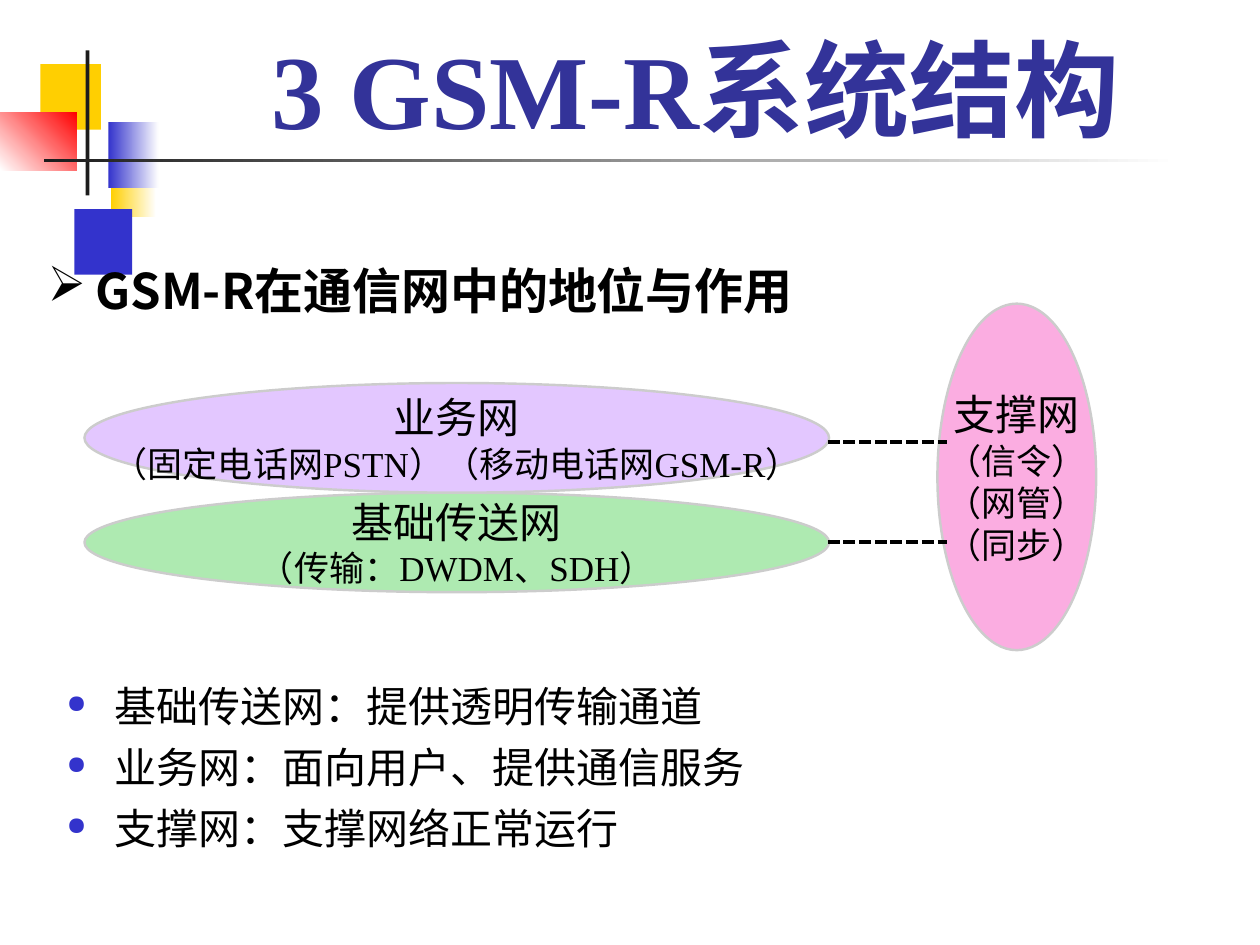
from lxml.etree import SubElement
from pptx import Presentation
from pptx.dml.color import RGBColor
from pptx.enum.dml import MSO_LINE
from pptx.enum.shapes import MSO_CONNECTOR, MSO_SHAPE
from pptx.enum.text import MSO_ANCHOR, PP_ALIGN
from pptx.oxml.ns import qn
from pptx.util import Inches, Pt

SERIF, SANS, CJK = "Times New Roman", "Lato", "Noto Sans CJK SC"
BLACK, WHITE, YELLOW, BLUE, RED, DARK = "000000", "FFFFFF", "FFCF01", "3333CC", "FF0000", "1C1C1C"

DECORATIONS = [
    ((0.88, 1.2, 0.36, 0.52), (YELLOW, WHITE, 0)),
    ((0.59, 1.66, 0.46, 0.52), BLUE),
    ((0.32, 0.51, 0.48, 0.52), YELLOW),
    ((0.86, 0.97, 0.4, 0.52), (BLUE, WHITE, 0)),
    ((0, 0.89, 0.61, 0.46), (WHITE, RED, 45)),
    ((0.68, 0.4, 0.03, 1.15), DARK),
    ((0.35, 1.26, 9, 0.03), (DARK, WHITE, 0)),
]
NETWORKS = [
    ((0.67, 3.91, 5.91, 0.79), "AEEAB1",
     [[("基础传送网", 24, SERIF)], [("（传输：DWDM、SDH", 20, SERIF), ("）", 20, SANS)]]),
    ((0.67, 3.04, 5.91, 0.87), "E3C7FF",
     [[("业务网", 24, SERIF)], [("（固定电话网PSTN）（移动电话网GSM-R）", 20, SERIF)]]),
    ((7.44, 2.41, 1.26, 2.75), "FBADE1",
     [[("支撑网", 24, SANS)]] + [[(text, 20, SANS)] for text in ("（信令）", "（网管）", "（同步）")]),
]
LINK_START, LINK_END, LINK_HEIGHTS = 6.57, 7.52, (3.51, 4.3)
ROLES = ["基础传送网：提供透明传输通道", "业务网：面向用户、提供通信服务", "支撑网：支撑网络正常运行"]
HEADING = "GSM-R在通信网中的地位与作用"
TITLE = "3 GSM-R系统结构"


def color(value):
    """Turn a hex string into a colour."""
    return RGBColor.from_string(value)


def paint(fill, value):
    """Apply a solid colour or a (start, end, angle) gradient."""
    if isinstance(value, str):
        fill.solid()
        fill.fore_color.rgb = color(value)
        return
    start, end, angle = value
    fill.gradient()
    fill.gradient_angle = angle
    for stop, stop_color in zip(fill.gradient_stops, (start, end)):
        stop.color.rgb = color(stop_color)


def add_preset(slide, kind, box, fill):
    """Add a flat preset shape without an outline."""
    shape = slide.shapes.add_shape(kind, *map(Inches, box))
    shape.shadow.inherit = False
    paint(shape.fill, fill)
    shape.line.fill.background()
    return shape


def add_bullet(paragraph, character, bullet_color, percent):
    """Give a paragraph a hanging bullet."""
    properties = paragraph._p.get_or_add_pPr()
    properties.set("marL", str(Inches(0.38)))
    properties.set("indent", str(Inches(-0.38)))
    holder = SubElement(properties, qn("a:buClr"))
    SubElement(holder, qn("a:srgbClr"), val=bullet_color)
    SubElement(holder.getparent(), qn("a:buSzPct"), val=str(percent * 1000))
    SubElement(properties, qn("a:buChar"), char=character)


def write(shape, paragraphs, anchor=MSO_ANCHOR.TOP, wrap=True, align=PP_ALIGN.CENTER,
          font_color=BLACK, bold=False, bullet=None, space=0):
    """Fill a shape with paragraphs of (text, size, font) runs."""
    frame = shape.text_frame
    frame.word_wrap = wrap
    frame.vertical_anchor = anchor
    for index, runs in enumerate(paragraphs):
        paragraph = frame.add_paragraph() if index else frame.paragraphs[0]
        if bullet:
            add_bullet(paragraph, *bullet)
        paragraph.alignment = align
        if index and space:
            paragraph.space_before = Pt(space)
        for text, size, font_name in runs:
            run = paragraph.add_run()
            run.text = text
            run.font.size = Pt(size)
            run.font.name = font_name
            run.font.bold = bold
            run.font.color.rgb = color(font_color)


def add_text(slide, box, paragraphs, **style):
    """Add a text box with styled paragraphs."""
    write(slide.shapes.add_textbox(*map(Inches, box)), paragraphs, **style)


def add_link(slide, height):
    """Add a dotted horizontal link."""
    ends = (LINK_START, height, LINK_END, height)
    link = slide.shapes.add_connector(MSO_CONNECTOR.STRAIGHT, *map(Inches, ends))
    link.line.color.rgb = color(BLACK)
    link.line.width = Pt(2.25)
    link.line.dash_style = MSO_LINE.SQUARE_DOT
    SubElement(link._element.spPr, qn("a:effectLst"))


def main():
    """Build and save the slide."""
    presentation = Presentation()
    presentation.slide_width, presentation.slide_height = Inches(10), Inches(7.5)
    slide = presentation.slides.add_slide(presentation.slide_layouts[6])
    for box, fill in DECORATIONS:
        add_preset(slide, MSO_SHAPE.RECTANGLE, box, fill)
    add_text(slide, (0.43, 5.35, 7.09, 1.86), [[(role, 24, SERIF)] for role in ROLES],
             align=PP_ALIGN.LEFT, bullet=("●", BLUE, 60), space=6)
    for box, fill, paragraphs in NETWORKS:
        ellipse = add_preset(slide, MSO_SHAPE.OVAL, box, fill)
        ellipse.line.color.rgb = color("CCCCCC")
        ellipse.line.width = Pt(1.39)
        write(ellipse, paragraphs, anchor=MSO_ANCHOR.MIDDLE, wrap=False)
    for height in LINK_HEIGHTS:
        add_link(slide, height)
    add_text(slide, (0.28, 2.02, 6.11, 0.57), [[(HEADING, 28, CJK)]],
             bold=True, bullet=("➢", BLACK, 100))
    add_text(slide, (1.26, 0.23, 8.52, 1.01), [[(TITLE, 60, SERIF)]],
             anchor=MSO_ANCHOR.BOTTOM, font_color="333399", bold=True)
    presentation.save("out.pptx")


if __name__ == "__main__":
    main()
